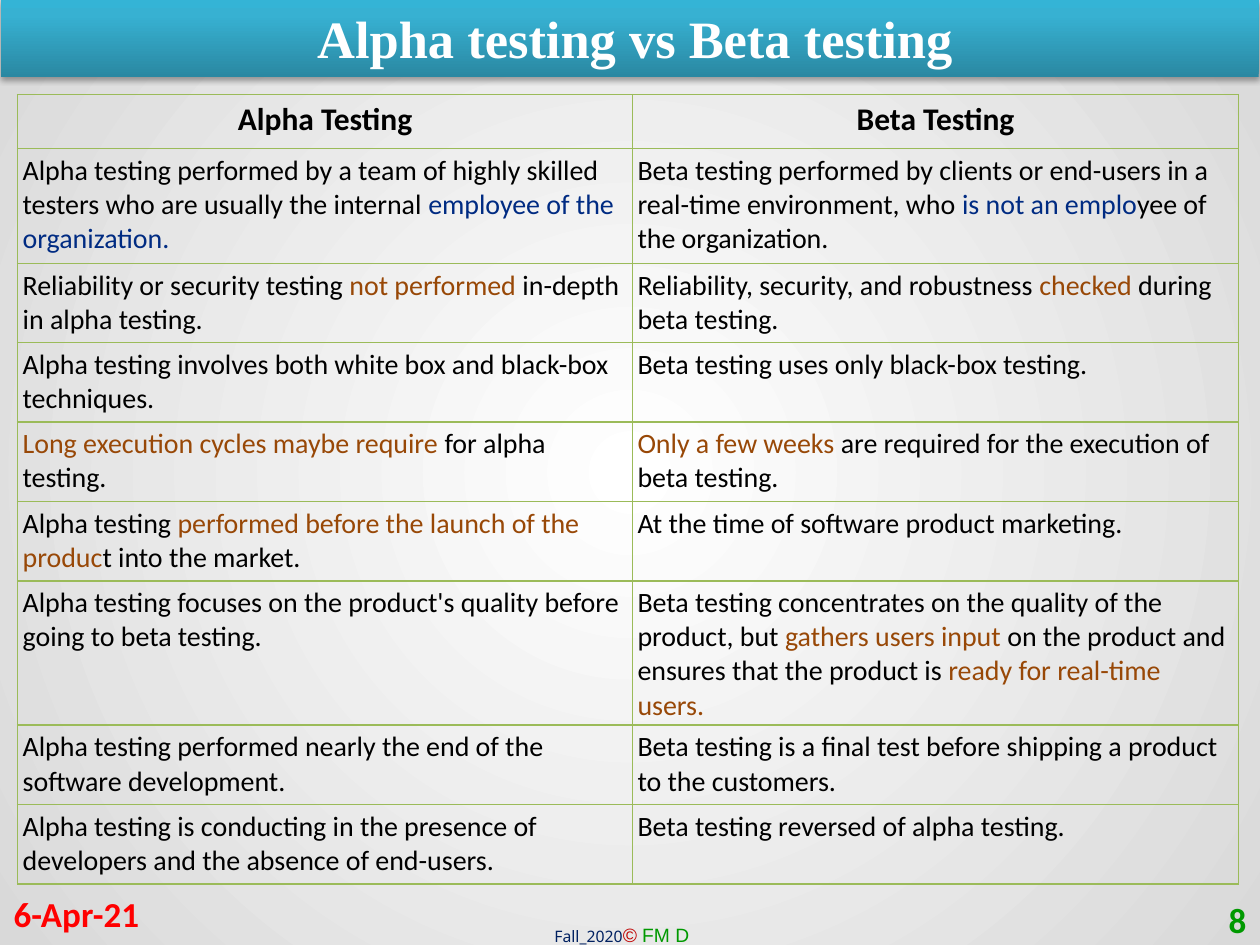
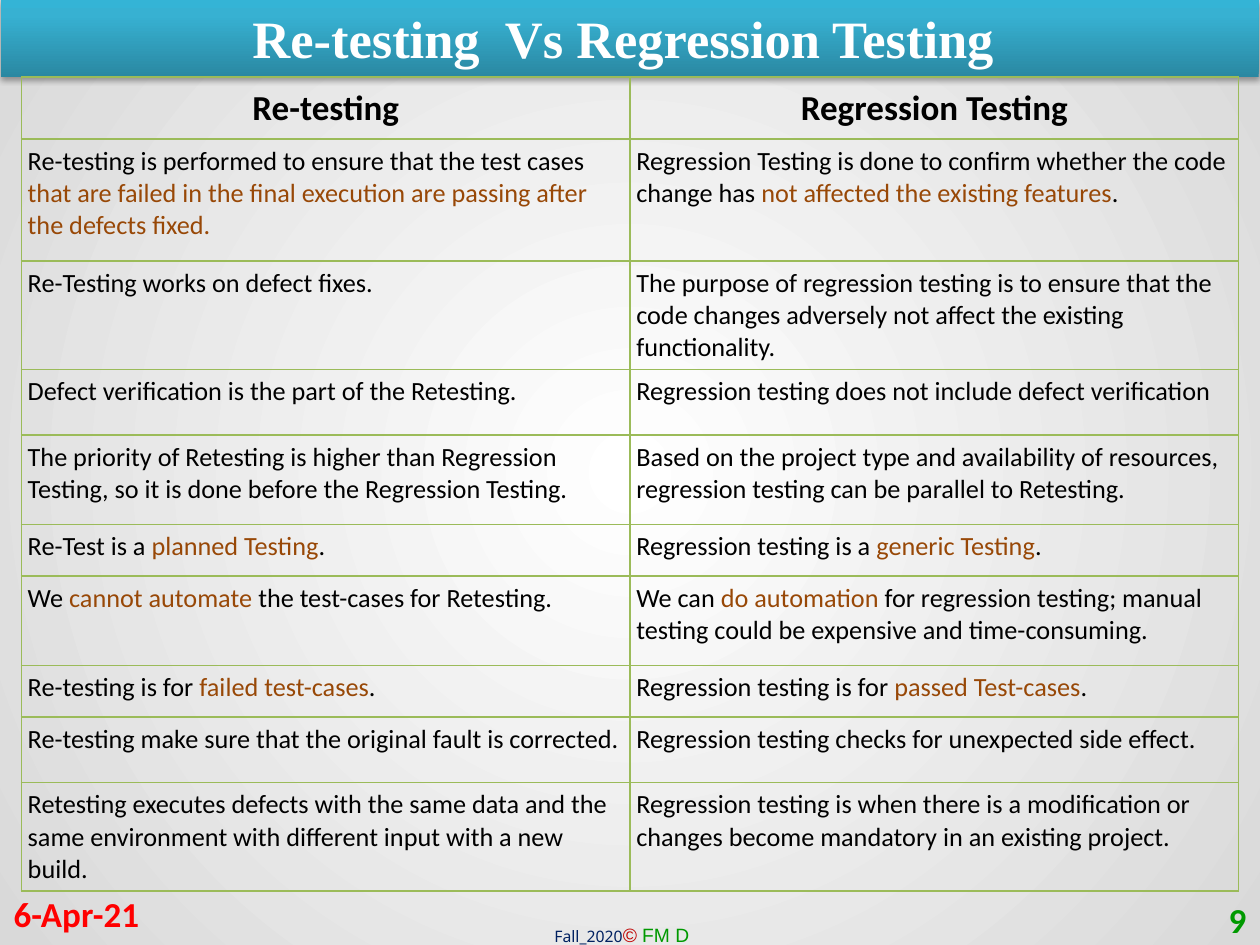
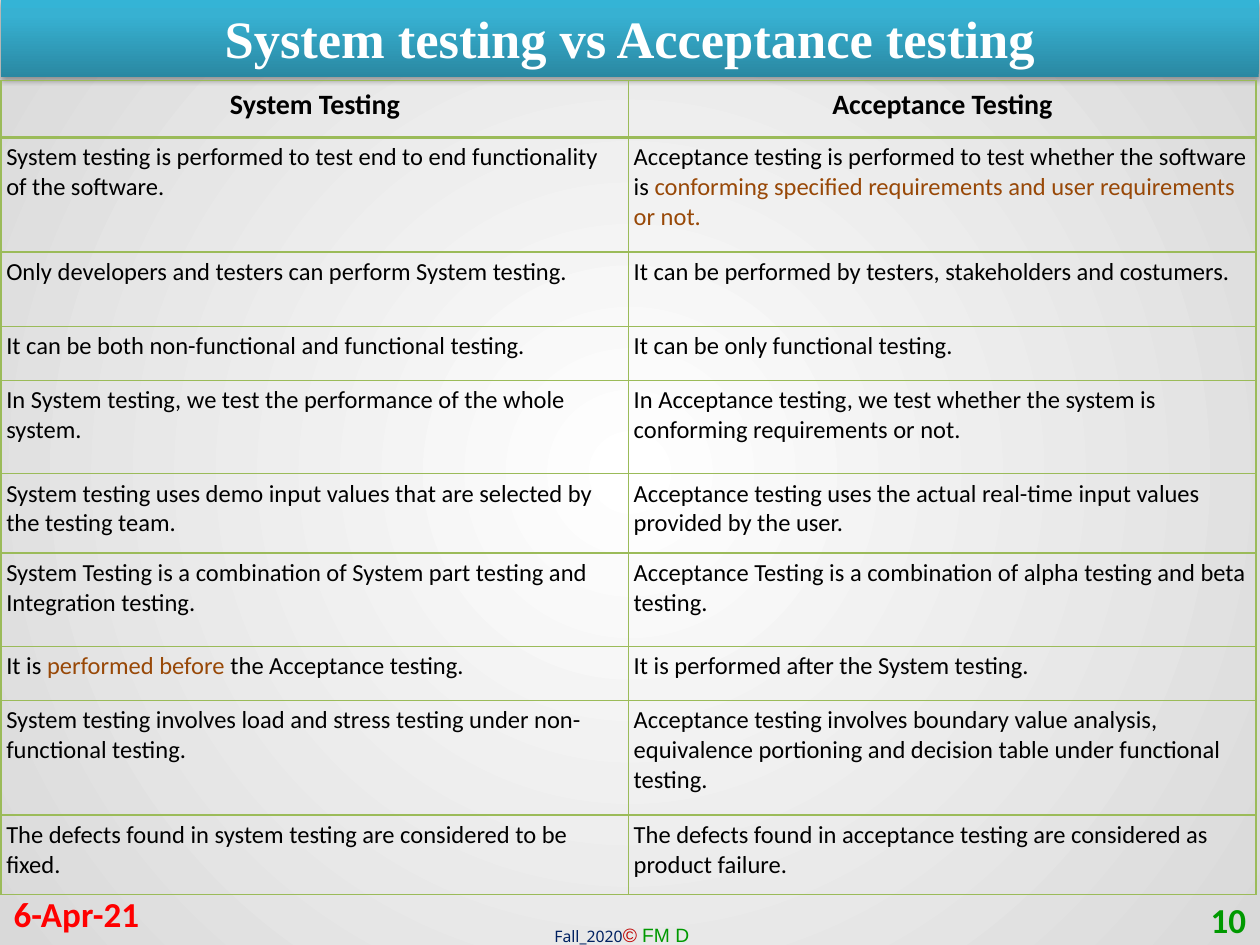
from dataclasses import dataclass

from lxml import etree
from pptx import Presentation
from pptx.dml.color import RGBColor
from pptx.enum.shapes import MSO_SHAPE as Preset
from pptx.enum.text import MSO_ANCHOR as Anchor, PP_ALIGN as Align
from pptx.oxml import parse_xml
from pptx.oxml.ns import nsdecls, qn
from pptx.util import Inches, Pt

# Shared colours
WHITE = RGBColor(0xFF, 0xFF, 0xFF)
BLACK = RGBColor(0x00, 0x00, 0x00)
SILVER = RGBColor(0xD9, 0xD9, 0xD9)
BAND_DARK = RGBColor(0x2A, 0x88, 0xA2)
BAND_MID = RGBColor(0x37, 0xB1, 0xD2)
BAND_LIGHT = RGBColor(0x34, 0xB4, 0xD6)
GRID = RGBColor(0x9B, 0xBB, 0x59)
BROWN = RGBColor(0x98, 0x48, 0x07)
BLUE = RGBColor(0x00, 0x2B, 0x82)
NAVY = RGBColor(0x00, 0x20, 0x60)
RED = RGBColor(0xFF, 0x00, 0x00)
DARK_RED = RGBColor(0xC0, 0x00, 0x00)
GREEN = RGBColor(0x00, 0x99, 0x00)

BODY_FONT = "Calibri"
TITLE_FONT = "Times New Roman"
# A text piece that starts with one of these marks takes its colour
MARKS = {"*": BROWN, "^": BLUE}

# Boxes: left, top, width, height in inches
TITLE_BOX = (0.01, 0, 9.98, 0.61)
CREDIT_BOX = (4.24, 7.28, 1.41, 0.29)
DATE_BOX = (0.01, 7.05, 2.33, 0.4)
NUMBER_BOX = (7.66, 7.1, 2.33, 0.4)


@dataclass
class Comparison:
    title: str
    left: float
    top: float
    columns: tuple
    heights: tuple
    head_size: int
    body_size: int
    head_inset: float
    body_inset: float
    head_rule: float
    rows: list


COMPARISONS = [
    Comparison(
        " Alpha testing vs Beta testing", 0.14, 0.75, (4.88, 4.81),
        (0.43, 0.91, 0.63, 0.63, 0.63, 0.63, 1.06, 0.63, 0.63),
        18, 16, 0.05, 0.04, 1,
        [
            ("Alpha Testing", "Beta Testing"),
            ("Alpha testing performed by a team of highly skilled testers who are usually "
             "the internal |^employee of the organization.",
             "Beta testing performed by clients or end-users in a real-time environment, "
             "who |^is not an emplo|yee of the organization."),
            ("Reliability or security testing |*not performed |in-depth in alpha testing.",
             "Reliability, security, and robustness |*checked |during beta testing."),
            ("Alpha testing involves both white box and black-box techniques.",
             "Beta testing uses only black-box testing."),
            ("*Long execution cycles maybe require |for alpha testing.",
             "*Only a few weeks |are required for the execution of beta testing."),
            ("Alpha testing |*performed before the launch of the produc|t into the market.",
             "At the time of software product marketing."),
            ("Alpha testing focuses on the product's quality before going to beta testing.",
             "Beta testing concentrates on the quality of the product, but |*gathers users "
             "input |on the product and ensures that the product is |*ready for real-time "
             "users."),
            ("Alpha testing performed nearly the end of the software development.",
             "Beta testing is a final test before shipping a product to the customers."),
            ("Alpha testing is conducting in the presence of developers and the absence of "
             "end-users.",
             "Beta testing reversed of alpha testing."),
        ]),
    Comparison(
        "Re-testing  Vs Regression Testing ", 0.17, 0.61, (4.83, 4.83),
        (0.48, 0.97, 0.86, 0.52, 0.71, 0.41, 0.71, 0.41, 0.52, 0.86),
        20, 15, 0.08, 0.05, 1,
        [
            ("Re-testing", "Regression Testing"),
            ("Re-testing is performed to ensure that the test cases |*that are failed in "
             "the final execution are passing after the defects fixed.",
             "Regression Testing is done to confirm whether the code change has |*not "
             "affected the existing features|."),
            ("Re-Testing works on defect fixes.",
             "The purpose of regression testing is to ensure that the code changes "
             "adversely not affect the existing functionality."),
            ("Defect verification is the part of the Retesting.",
             "Regression testing does not include defect verification"),
            ("The priority of Retesting is higher than Regression Testing, so it is done "
             "before the Regression Testing.",
             "Based on the project type and availability of resources, regression testing "
             "can be parallel to Retesting."),
            ("Re-Test is a |*planned Testing|.",
             "Regression testing is a |*generic Testing|."),
            ("We |*cannot automate |the test-cases for Retesting.",
             "We can |*do automation |for regression testing; manual testing could be "
             "expensive and time-consuming."),
            ("Re-testing is for |*failed test-cases|.",
             "Regression testing is for |*passed Test-cases|."),
            ("Re-testing make sure that the original fault is corrected.",
             "Regression testing checks for unexpected side effect."),
            ("Retesting executes defects with the same data and the same environment with "
             "different input with a new build.",
             "Regression testing is when there is a modification or changes become "
             "mandatory in an existing project."),
        ]),
    Comparison(
        "System testing vs Acceptance testing", 0.01, 0.64, (4.98, 4.98),
        (0.45, 0.91, 0.59, 0.43, 0.74, 0.63, 0.74, 0.43, 0.91, 0.63),
        16, 14, 0.06, 0.04, 2,
        [
            ("System Testing", "Acceptance Testing"),
            ("System testing is performed to test end to end functionality of the software.",
             "Acceptance testing is performed to test whether the software is |*conforming "
             "specified requirements and user requirements or not."),
            ("Only developers and testers can perform System testing.",
             "It can be performed by testers, stakeholders and costumers."),
            ("It can be both non-functional and functional testing.",
             "It can be only functional testing."),
            ("In System testing, we test the performance of the whole system.",
             "In Acceptance testing, we test whether the system is conforming requirements "
             "or not."),
            ("System testing uses demo input values that are selected by the testing team.",
             "Acceptance testing uses the actual real-time input values provided by the "
             "user."),
            ("System Testing is a combination of System part testing and Integration "
             "testing.",
             "Acceptance Testing is a combination of alpha testing and beta testing."),
            ("It is |*performed before |the Acceptance testing.",
             "It is performed after the System testing."),
            ("System testing involves load and stress testing under non-functional testing.",
             "Acceptance testing involves boundary value analysis, equivalence portioning "
             "and decision table under functional testing."),
            ("The defects found in system testing are considered to be fixed.",
             "The defects found in acceptance testing are considered as product failure."),
        ]),
]


def inches(box):
    return [Inches(length) for length in box]


def style(font, name, size, color, bold=False):
    font.name, font.size, font.bold = name, Pt(size), bold
    font.color.rgb = color


def set_gradient(fill, owner, stops, direction):
    """Fill with (percent, colour) stops along an a:lin or a:path element."""
    fill.gradient()
    gradient = owner.find(".//" + qn("a:gradFill"))
    for child in list(gradient):
        gradient.remove(child)
    stop_list = etree.SubElement(gradient, qn("a:gsLst"))
    for percent, color in stops:
        stop = etree.SubElement(stop_list, qn("a:gs"), pos=str(percent * 1000))
        etree.SubElement(stop, qn("a:srgbClr"), val=str(color))
    gradient.append(parse_xml(direction))


def add_background(slide):
    set_gradient(
        slide.background.fill, slide.element, [(0, WHITE), (100, SILVER)],
        f'<a:path {nsdecls("a")} path="circle">'
        '<a:fillToRect l="50000" t="50000" r="50000" b="50000"/></a:path>')


def add_title_band(slide, box, title):
    band = slide.shapes.add_shape(Preset.RECTANGLE, *inches(box))
    band.line.fill.background()
    set_gradient(
        band.fill, band.element,
        [(0, BAND_DARK), (80, BAND_MID), (100, BAND_LIGHT)],
        f'<a:lin {nsdecls("a")} ang="16200000" scaled="0"/>')
    band.element.spPr.append(parse_xml(
        f'<a:effectLst {nsdecls("a")}>'
        '<a:outerShdw blurRad="40000" dist="23000" dir="5400000" rotWithShape="0">'
        '<a:srgbClr val="000000"><a:alpha val="35000"/></a:srgbClr>'
        '</a:outerShdw></a:effectLst>'))
    band.text_frame.vertical_anchor = Anchor.TOP
    heading = band.text_frame.paragraphs[0]
    heading.text = title
    heading.alignment = Align.CENTER
    style(heading.font, TITLE_FONT, 30, WHITE, bold=True)


def add_footer_text(slide, box, text, color, align):
    frame = slide.shapes.add_textbox(*inches(box)).text_frame
    frame.word_wrap = True
    frame.vertical_anchor = Anchor.MIDDLE
    line = frame.paragraphs[0]
    line.text = text
    line.alignment = align
    style(line.font, BODY_FONT, 20, color, bold=True)


def add_credit(slide, box):
    frame = slide.shapes.add_textbox(*inches(box)).text_frame
    frame.word_wrap = True
    frame.margin_left = Inches(0.16)
    line = frame.paragraphs[0]
    for text, name, size, color, italic in (
            ("Fall_2020", "Noto Sans", 9, NAVY, False),
            ("© ", "Arial", 11, DARK_RED, True),
            ("FM D", "Arial", 11, GREEN, False)):
        run = line.add_run()
        run.text = text
        style(run.font, name, size, color)
        run.font.italic = italic


def set_borders(cell, top, bottom):
    properties = cell._tc.get_or_add_tcPr()
    for side, width in (("L", 1), ("R", 1), ("T", top), ("B", bottom)):
        properties.append(parse_xml(
            f'<a:ln{side} {nsdecls("a")} w="{Pt(width)}"><a:solidFill>'
            f'<a:srgbClr val="{GRID}"/></a:solidFill></a:ln{side}>'))


def fill_cell(cell, text, size, inset, is_head):
    cell.fill.background()
    cell.margin_left = cell.margin_right = Inches(inset)
    cell.margin_top = cell.margin_bottom = Inches(inset)
    line = cell.text_frame.paragraphs[0]
    line.alignment = Align.CENTER if is_head else Align.LEFT
    style(line.font, BODY_FONT, size, BLACK, bold=is_head)
    for piece in text.split("|"):
        run = line.add_run()
        run.text = piece.lstrip("*^")
        # Runs repeat the style because table cells ignore paragraph defaults
        style(run.font, BODY_FONT, size, MARKS.get(piece[0], BLACK), bold=is_head)


def add_comparison_table(slide, item):
    box = (item.left, item.top, sum(item.columns), sum(item.heights))
    table = slide.shapes.add_table(
        len(item.rows), len(item.columns), *inches(box)).table
    table.first_row = table.horz_banding = False
    for column, width in zip(table.columns, item.columns):
        column.width = Inches(width)
    for r, (height, texts) in enumerate(zip(item.heights, item.rows)):
        table.rows[r].height = Inches(height)
        is_head = r == 0
        size = item.head_size if is_head else item.body_size
        inset = item.head_inset if is_head else item.body_inset
        for c, text in enumerate(texts):
            cell = table.cell(r, c)
            set_borders(cell, top=item.head_rule if r == 1 else 1,
                        bottom=item.head_rule if is_head else 1)
            fill_cell(cell, text, size, inset, is_head)


def add_comparison_slide(deck, item, number):
    slide = deck.slides.add_slide(deck.slide_layouts[6])
    add_background(slide)
    add_credit(slide, CREDIT_BOX)
    add_title_band(slide, TITLE_BOX, item.title)
    add_footer_text(slide, DATE_BOX, "6-Apr-21", RED, Align.LEFT)
    add_footer_text(slide, NUMBER_BOX, str(number), GREEN, Align.RIGHT)
    add_comparison_table(slide, item)


def main():
    deck = Presentation()
    deck.slide_width, deck.slide_height = Inches(10), Inches(7.5)
    for number, item in enumerate(COMPARISONS, start=8):
        add_comparison_slide(deck, item, number)
    deck.save("out.pptx")


if __name__ == "__main__":
    main()
